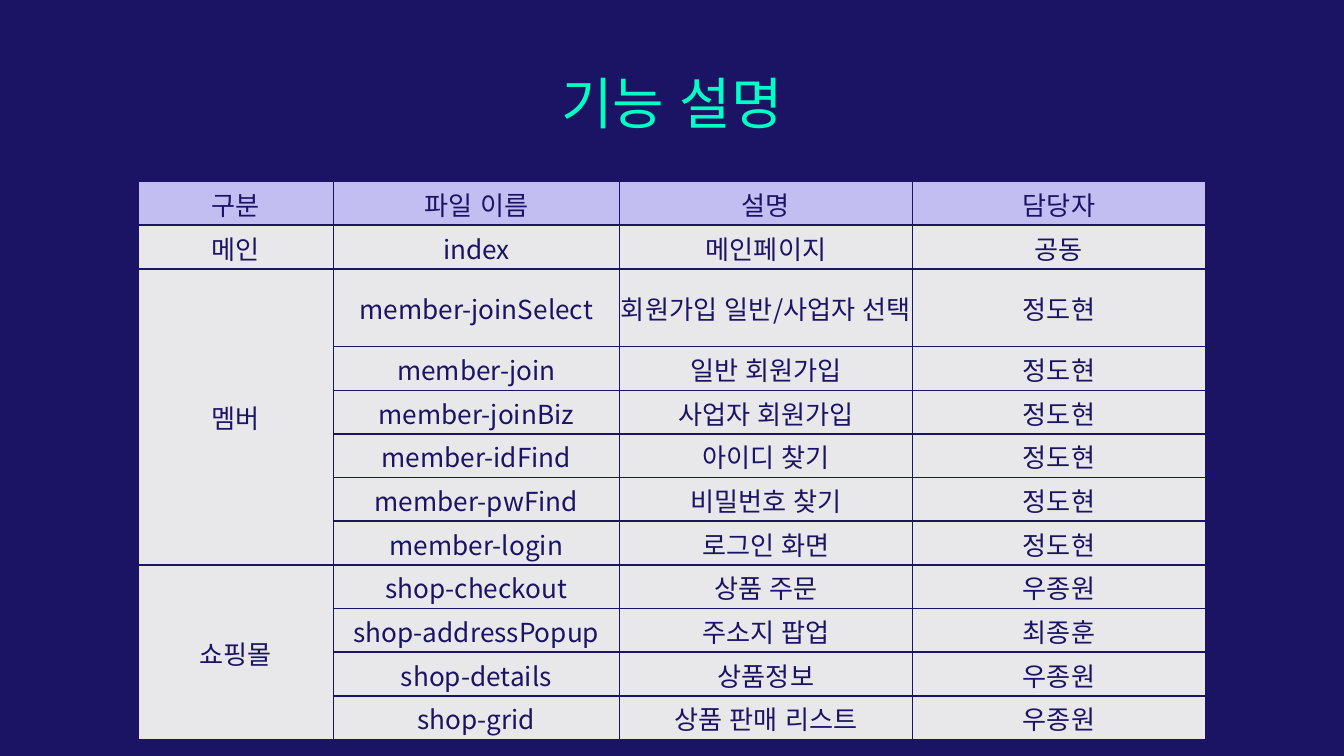
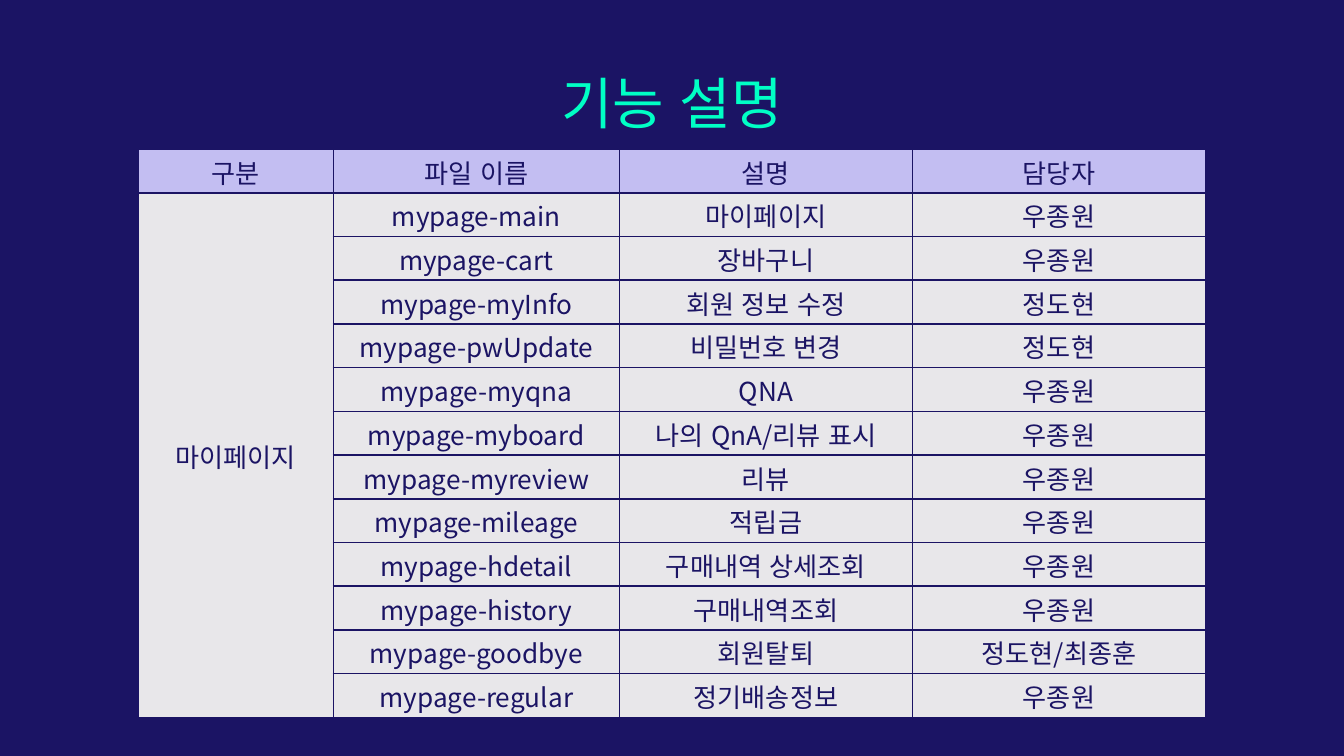
from lxml import etree
from pptx import Presentation
from pptx.dml.color import RGBColor
from pptx.enum.lang import MSO_LANGUAGE_ID
from pptx.enum.text import MSO_ANCHOR, MSO_AUTO_SIZE, PP_ALIGN
from pptx.oxml.ns import qn
from pptx.util import Inches, Pt

CENTER = PP_ALIGN.CENTER
MIDDLE, BOTTOM = MSO_ANCHOR.MIDDLE, MSO_ANCHOR.BOTTOM
FIT_SHAPE = MSO_AUTO_SIZE.SHAPE_TO_FIT_TEXT
KOREAN = MSO_LANGUAGE_ID.KOREAN

# Content: each group lists (file name, description, person in charge)
TITLE = "기능 설명"
HEADER = ("구분", "파일 이름", "설명", "담당자")
SLIDES = [
    {"top": 1.35, "height": 3.9, "two_line_rows": [2], "groups": {
        "메인": [("index", "메인페이지", "공동")],
        "멤버": [
            ("member-joinSelect", "회원가입 일반/사업자 선택", "정도현"),
            ("member-join", "일반 회원가입", "정도현"),
            ("member-joinBiz", "사업자 회원가입", "정도현"),
            ("member-idFind", "아이디 찾기", "정도현"),
            ("member-pwFind", "비밀번호 찾기", "정도현"),
            ("member-login", "로그인 화면", "정도현"),
        ],
        "쇼핑몰": [
            ("shop-checkout", "상품 주문", "우종원"),
            ("shop-addressPopup", "주소지 팝업", "최종훈"),
            ("shop-details", "상품정보", "우종원"),
            ("shop-grid", "상품 판매 리스트", "우종원"),
        ],
    }},
    {"top": 1.11, "height": 4.23, "two_line_rows": [], "groups": {
        "마이페이지": [
            ("mypage-main", "마이페이지", "우종원"),
            ("mypage-cart", "장바구니", "우종원"),
            ("mypage-myInfo", "회원 정보 수정", "정도현"),
            ("mypage-pwUpdate", "비밀번호 변경", "정도현"),
            ("mypage-myqna", "QNA", "우종원"),
            ("mypage-myboard", "나의 QnA/리뷰 표시", "우종원"),
            ("mypage-myreview", "리뷰", "우종원"),
            ("mypage-mileage", "적립금", "우종원"),
            ("mypage-hdetail", "구매내역 상세조회", "우종원"),
            ("mypage-history", "구매내역조회", "우종원"),
            ("mypage-goodbye", "회원탈퇴", "정도현/최종훈"),
            ("mypage-regular", "정기배송정보", "우종원"),
        ],
    }},
]

# Shared style
WIDTH = 10
HEIGHT = WIDTH * 9 / 16
NAVY, MINT, LILAC, GREY = "1B1464", "00FFC5", "C3BEF2", "E8E7EA"
FONT = "Noto Sans CJK KR"
TITLE_BOX = (1.4, 0.38, 7.2, 0.73)
TITLE_FONT = {"size": Pt(30), "name": FONT, "language_id": KOREAN}
CELL_FONT = {**TITLE_FONT, "size": Pt(14)}
COLS = (1.45, 2.13, 2.18, 2.18)
TWO_LINES = 0.58
CELL_FORMAT = {"vertical_anchor": MIDDLE, "margin_left": Inches(0.01),
               "margin_top": Inches(0.01), "margin_right": Inches(0.01),
               "margin_bottom": 0}
TITLE_FORMAT = {"word_wrap": True, "vertical_anchor": BOTTOM,
                "auto_size": FIT_SHAPE,
                **{f"margin_{side}": Inches(0.1)
                   for side in ("left", "top", "right", "bottom")}}


def rgb(color):
    return RGBColor.from_string(color)


def apply(target, values):
    for name, value in values.items():
        setattr(target, name, value)


def write(tf, text, font, color):
    p = tf.paragraphs[0]
    p.alignment = CENTER
    r = p.add_run()
    r.text = text
    apply(r.font, font)
    r.font.color.rgb = rgb(color)
    for script in ("ea", "cs"):
        etree.SubElement(r._r.get_or_add_rPr(), qn(f"a:{script}"),
                         typeface=font["name"])


def add_borders(cell, color, width):
    tcPr = cell._tc.get_or_add_tcPr()
    for side in ("L", "R", "T", "B"):
        ln = etree.SubElement(tcPr, qn(f"a:ln{side}"), w=str(Pt(width)))
        fill = etree.SubElement(ln, qn("a:solidFill"))
        etree.SubElement(fill, qn("a:srgbClr"), val=color)


def add_title(s):
    tf = s.shapes.add_textbox(*map(Inches, TITLE_BOX)).text_frame
    apply(tf, TITLE_FORMAT)
    write(tf, TITLE, TITLE_FONT, MINT)


def add_file_table(s, top, height, two_line_rows, groups):
    # One row per file; the group name stands in its first row only
    rows = [HEADER]
    merges = []
    for group, files in groups.items():
        merges.append((len(rows), len(rows) + len(files) - 1))
        rows += [("" if i else group, *file) for i, file in enumerate(files)]

    width = sum(COLS)
    table = s.shapes.add_table(
        len(rows), len(COLS), Inches((WIDTH - width) / 2), Inches(top),
        Inches(width), Inches(height)).table
    apply(table, {"first_row": False, "horz_banding": False})
    for col, w in zip(table.columns, COLS):
        col.width = Inches(w)

    for i, row in enumerate(rows):
        row_height = TWO_LINES if i in two_line_rows else height / len(rows)
        table.rows[i].height = Inches(row_height)
        for j, text in enumerate(row):
            cell = table.cell(i, j)
            apply(cell, CELL_FORMAT)
            add_borders(cell, NAVY, 1)
            cell.fill.solid()
            cell.fill.fore_color.rgb = rgb(GREY if i else LILAC)
            if text:
                write(cell.text_frame, text, CELL_FONT, NAVY)

    for first, last in merges:
        if last > first:
            table.cell(first, 0).merge(table.cell(last, 0))


def main():
    prs = Presentation()
    prs.slide_width, prs.slide_height = Inches(WIDTH), Inches(HEIGHT)
    for content in SLIDES:
        s = prs.slides.add_slide(prs.slide_layouts[6])
        s.background.fill.solid()
        s.background.fill.fore_color.rgb = rgb(NAVY)
        add_title(s)
        add_file_table(s, **content)
    prs.save("out.pptx")


if __name__ == "__main__":
    main()
